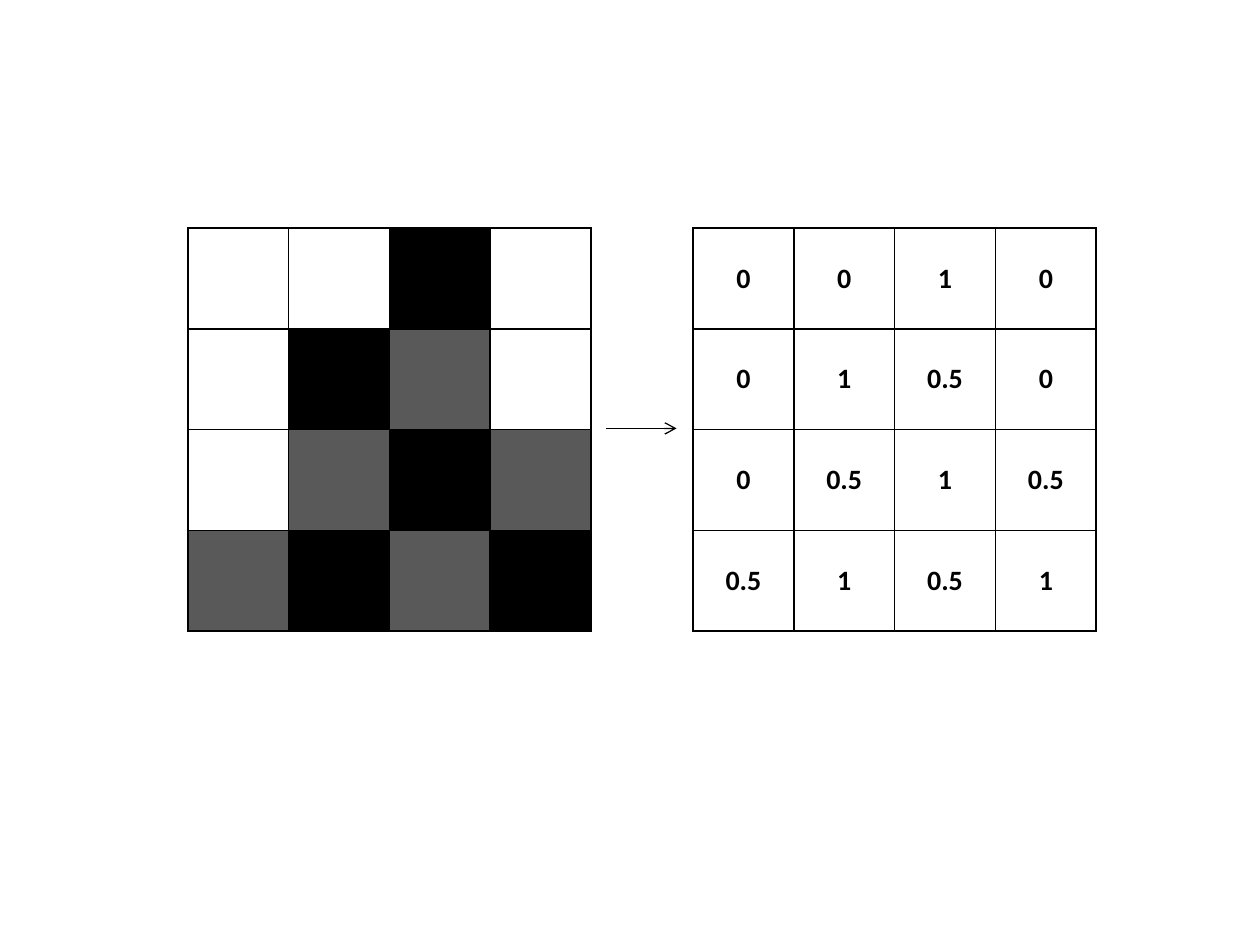
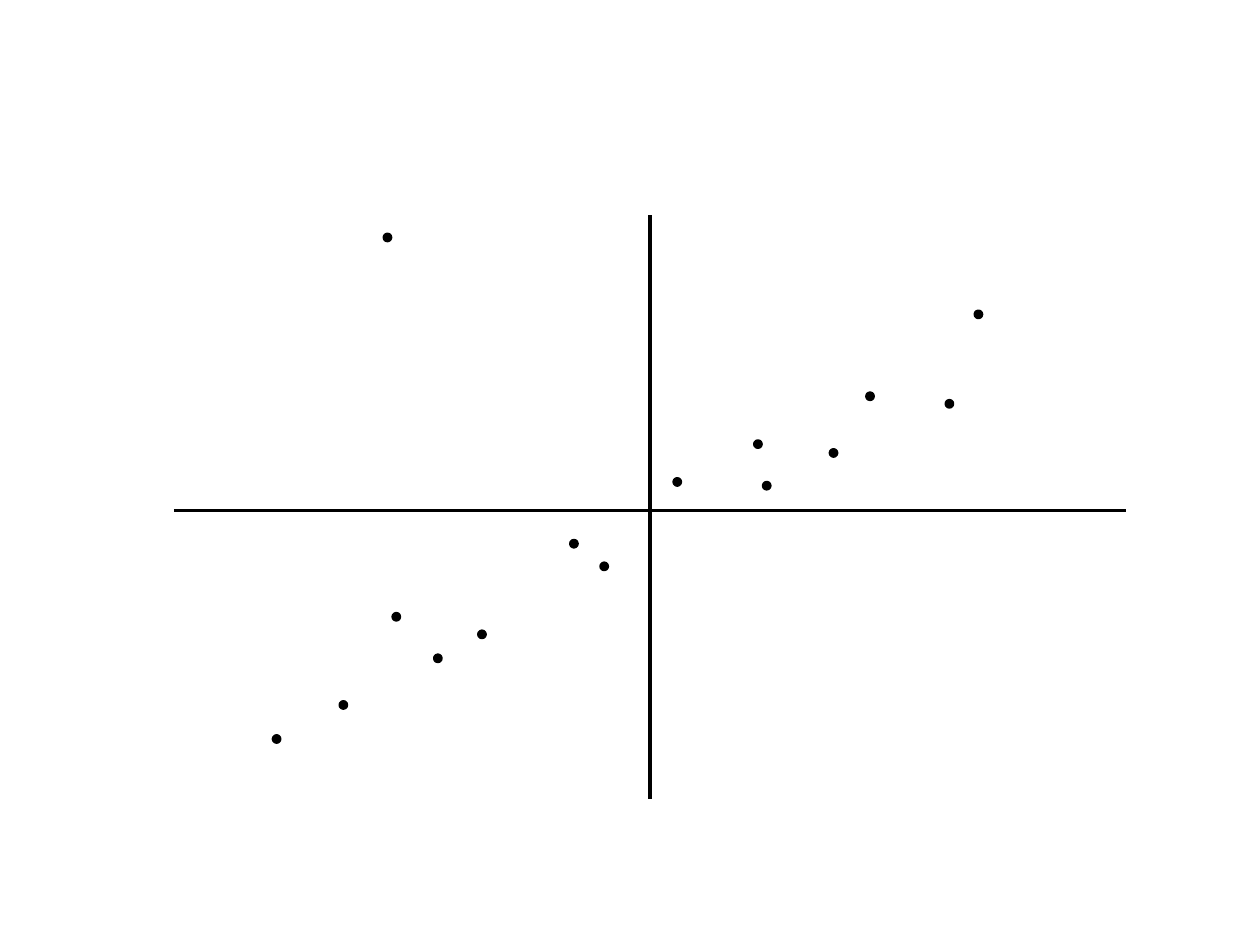
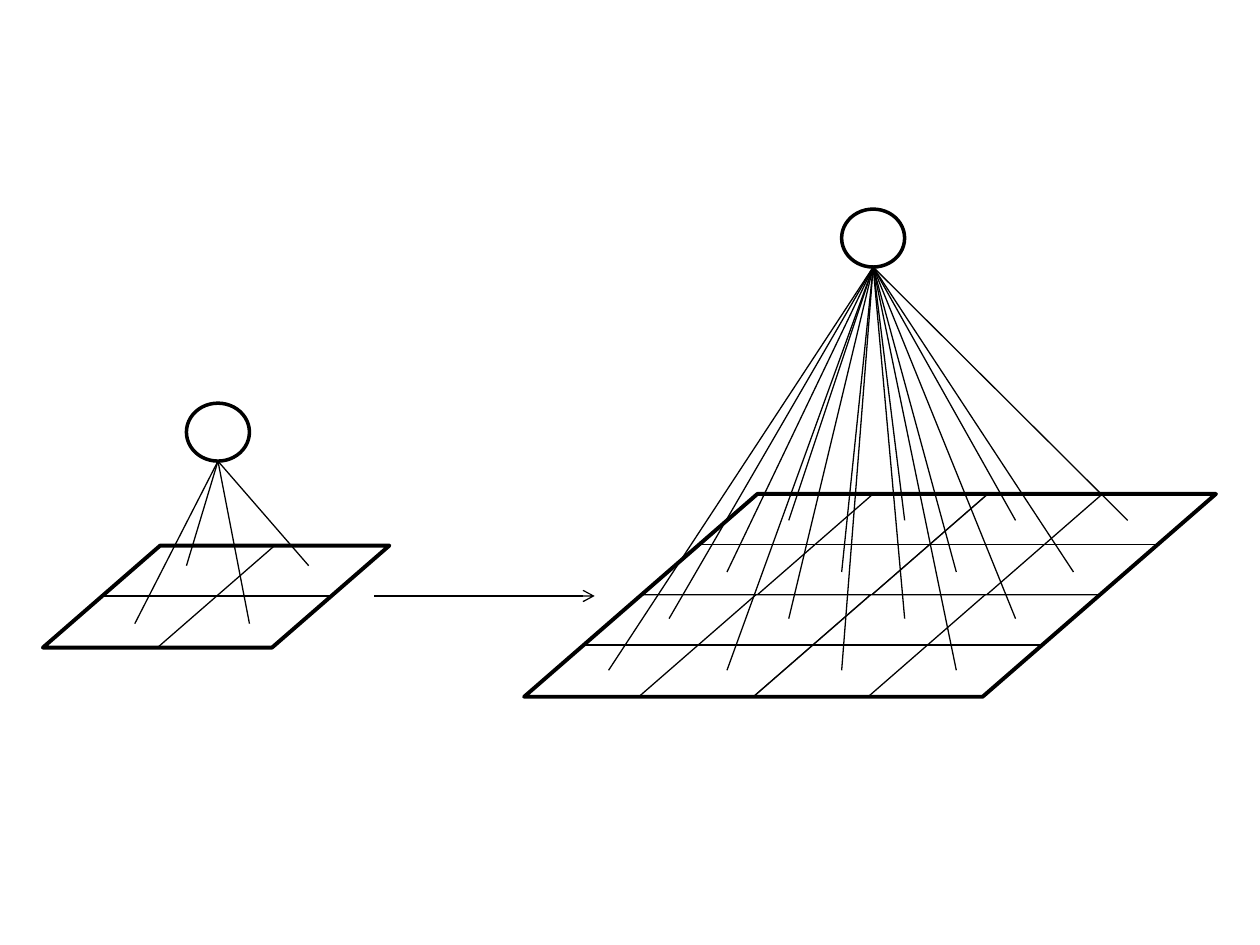
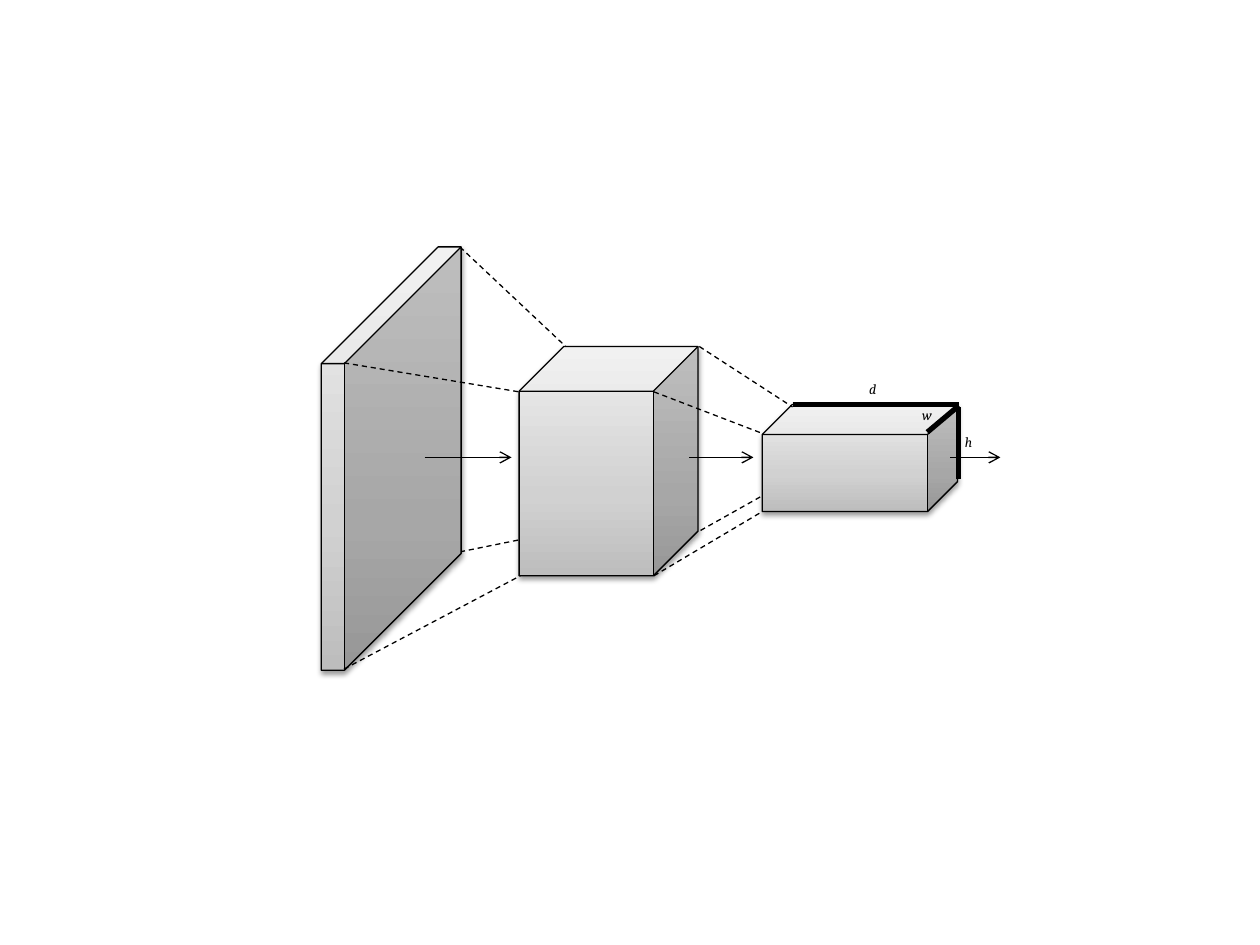
from lxml.etree import SubElement
from pptx import Presentation
from pptx.dml.color import RGBColor
from pptx.enum.dml import MSO_LINE
from pptx.enum.shapes import MSO_CONNECTOR, MSO_SHAPE as SHAPE
from pptx.enum.text import MSO_ANCHOR, MSO_AUTO_SIZE, PP_ALIGN
from pptx.oxml import parse_xml
from pptx.oxml.ns import nsdecls, qn
from pptx.util import Inches, Pt

rgb = RGBColor.from_string
BLACK, GREY, WHITE = "000000", "595959", "FFFFFF"
THIN = 0.75


def draw_line(canvas, start, end, weight=THIN, dashed=False, arrow=False):
    line = canvas.add_connector(
        MSO_CONNECTOR.STRAIGHT, *(Inches(value) for value in (*start, *end)))
    line.line.color.rgb = rgb(BLACK)
    line.line.width = Pt(weight)
    if dashed:
        line.line.dash_style = MSO_LINE.DASH
    if arrow:
        SubElement(line.get_or_add_ln(), qn("a:tailEnd"), type="arrow")
    SubElement(line.element.spPr, qn("a:effectLst"))


def draw_shape(canvas, kind, left, top, width, height, weight, fill=None, adjust=None):
    shape = canvas.add_shape(
        kind, Inches(left), Inches(top), Inches(width), Inches(height))
    shape.shadow.inherit = False
    if fill:
        shape.fill.solid()
        shape.fill.fore_color.rgb = rgb(fill)
    else:
        shape.fill.background()
    shape.line.color.rgb = rgb(BLACK)
    shape.line.width = Pt(weight)
    if adjust is not None:
        shape.adjustments[0] = adjust
    return shape


deck = Presentation()
deck.slide_width, deck.slide_height = Inches(10), Inches(7.5)
blank = deck.slide_layouts[6]

# Slide 1: pixel shades and their values
page = deck.slides.add_slide(blank)
CELL = 0.8
pixels = [
    ["0", "0", "1", "0"],
    ["0", "1", "0.5", "0"],
    ["0", "0.5", "1", "0.5"],
    ["0.5", "1", "0.5", "1"],
]
shades = {"0": WHITE, "0.5": GREY, "1": BLACK}

for left, shows_values in ((1.49, False), (5.5, True)):
    table = page.shapes.add_table(
        4, 4, Inches(left), Inches(1.81), Inches(4 * CELL), Inches(4 * CELL)).table
    table.first_row = table.horz_banding = False
    for column in table.columns:
        column.width = Inches(CELL)
    for row_index, row in enumerate(pixels):
        table.rows[row_index].height = Inches(CELL)
        for column_index, value in enumerate(row):
            cell = table.cell(row_index, column_index)
            if shows_values:
                cell.fill.background()
                cell.vertical_anchor = MSO_ANCHOR.MIDDLE
                para = cell.text_frame.paragraphs[0]
                para.alignment = PP_ALIGN.CENTER
                span = para.add_run()
                span.text = value
                span.font.name = "Calibri"
                span.font.size = Pt(16)
                span.font.bold = True
                span.font.color.rgb = rgb(BLACK)
            else:
                cell.fill.solid()
                cell.fill.fore_color.rgb = rgb(shades[value])
            properties = cell._tc.get_or_add_tcPr()
            for position, side in enumerate(("lnL", "lnR", "lnT", "lnB")):
                properties.insert(position, parse_xml(
                    f'<a:{side} {nsdecls("a")} w="{Pt(1)}"><a:solidFill>'
                    f'<a:srgbClr val="{BLACK}"/></a:solidFill></a:{side}>'))
draw_line(page.shapes, (4.81, 3.4), (5.37, 3.4), arrow=True)

# Slide 2: scatter of points around two axes
page = deck.slides.add_slide(blank)
draw_line(page.shapes, (1.38, 4.05), (8.94, 4.05), 2)
draw_line(page.shapes, (5.16, 1.71), (5.16, 6.34), 2)
points = [
    (3.12, 4.87), (3.8, 5.01), (5.35, 3.8), (7.51, 3.18), (5.99, 3.5),
    (7.74, 2.47), (2.17, 5.84), (4.53, 4.29), (6.06, 3.83), (4.77, 4.47),
    (6.59, 3.57), (2.7, 5.57), (3.45, 5.2), (6.88, 3.12), (3.05, 1.86),
]
for left, top in points:
    draw_shape(page.shapes, SHAPE.OVAL, left, top, 0.05, 0.05, 2, BLACK)

# Slide 3: a neuron over a small grid and over a large one
page = deck.slides.add_slide(blank)
SLANT = 1.15
small_tiles = [(0.34, 4.33)]
large_tiles = [(5.09 - 0.93 * row + 1.82 * column, 3.92 + 0.8 * row)
               for row in range(2) for column in range(2)]
small_rays = {4.49: (1.48, 2.45), 4.95: (1.07, 1.98)}
large_rays = {
    4.13: (6.26, 7.18, 8.06, 8.95),
    4.54: (5.77, 6.68, 7.59, 8.52),
    4.91: (5.31, 6.26, 7.18, 8.06),
    5.32: (4.83, 5.77, 6.68, 7.59),
}
networks = [
    (small_tiles, (0.34, 4.33, 2.75, 0.81), (1.73, 3.66), small_rays),
    (large_tiles, (4.16, 3.92, 5.49, 1.61), (6.93, 2.12), large_rays),
]
for tiles, outline, (apex_x, apex_y), rays in networks:
    group = page.shapes.add_group_shape().shapes
    for left, top in tiles:
        draw_shape(group, SHAPE.PARALLELOGRAM, left, top, 2.75, 0.81, THIN, WHITE, SLANT)
        draw_line(group, (left + 0.46, top + 0.4), (left + 2.28, top + 0.4))
        draw_line(group, (left + 1.84, top), (left + 0.91, top + 0.81))
    draw_shape(group, SHAPE.PARALLELOGRAM, *outline, 2.25, adjust=SLANT)
    draw_shape(group, SHAPE.OVAL, apex_x - 0.25, apex_y - 0.46, 0.5, 0.46, 2, WHITE)
    for ray_y, ray_ends in rays.items():
        for ray_x in ray_ends:
            draw_line(group, (apex_x, apex_y), (ray_x, ray_y))
draw_line(page.shapes, (2.97, 4.73), (4.72, 4.73), arrow=True)

# Slide 4: layers as blocks joined by dashed projections
page = deck.slides.add_slide(blank)
hidden_projections = [((5.56, 4.21), (6.29, 3.8)), ((3.65, 4.38), (4.49, 4.21))]
for start, end in hidden_projections:
    draw_line(page.shapes, start, end, dashed=True)

blocks = [
    (2.55, 1.96, 1.11, 3.36, 0.835),
    (4.12, 2.75, 1.42, 1.82, 0.25),
    (6.05, 3.21, 1.55, 0.85, 0.28),
]
gradient = {0: "BDBDBD", 35: "D1D1D1", 100: "EEEEEE"}
for *place, depth in blocks:
    block = draw_shape(page.shapes, SHAPE.CUBE, *place, THIN, adjust=depth)
    block.fill.gradient()
    block.fill.gradient_angle = 90
    stops = block.element.spPr.find(".//" + qn("a:gsLst"))
    stops.clear()
    for percent, shade in gradient.items():
        stop = SubElement(stops, qn("a:gs"), pos=str(percent * 1000))
        SubElement(stop, qn("a:srgbClr"), val=shade)
    effects = block.element.spPr.find(qn("a:effectLst"))
    shadow = SubElement(effects, qn("a:outerShdw"), blurRad=str(Pt(3.1)),
                        dist=str(Pt(1.6)), dir="5400000", rotWithShape="0")
    shadow_color = SubElement(shadow, qn("a:srgbClr"), val=BLACK)
    SubElement(shadow_color, qn("a:alpha"), val="38000")

measured_edges = [
    ((6.29, 3.21), (7.61, 3.21)),
    ((7.61, 3.23), (7.61, 3.8)),
    ((7.36, 3.43), (7.61, 3.22)),
]
for start, end in measured_edges:
    draw_line(page.shapes, start, end, 3)

for letter, left, top, width in (
        ("w", 7.22, 3.18, 0.32), ("h", 7.56, 3.39, 0.3), ("d", 6.8, 2.97, 0.3)):
    box = page.shapes.add_textbox(
        Inches(left), Inches(top), Inches(width), Inches(0.24))
    box.text_frame.word_wrap = False
    box.text_frame.auto_size = MSO_AUTO_SIZE.SHAPE_TO_FIT_TEXT
    span = box.text_frame.paragraphs[0].add_run()
    span.text = letter
    span.font.name = "Cambria"
    span.font.size = Pt(8)
    span.font.italic = True
    span.font.color.rgb = rgb(BLACK)

projections = [
    ((3.65, 1.96), (4.49, 2.75)),
    ((2.73, 2.88), (4.12, 3.11)),
    ((2.73, 5.31), (4.13, 4.57)),
    ((5.19, 3.11), (6.05, 3.44)),
    ((5.19, 4.57), (6.05, 4.06)),
    ((5.55, 2.75), (6.29, 3.23)),
]
for start, end in projections:
    draw_line(page.shapes, start, end, dashed=True)
for start_x, end_x in ((3.37, 4.06), (5.47, 5.98), (7.54, 7.94)):
    draw_line(page.shapes, (start_x, 3.63), (end_x, 3.63), arrow=True)

deck.save("out.pptx")
